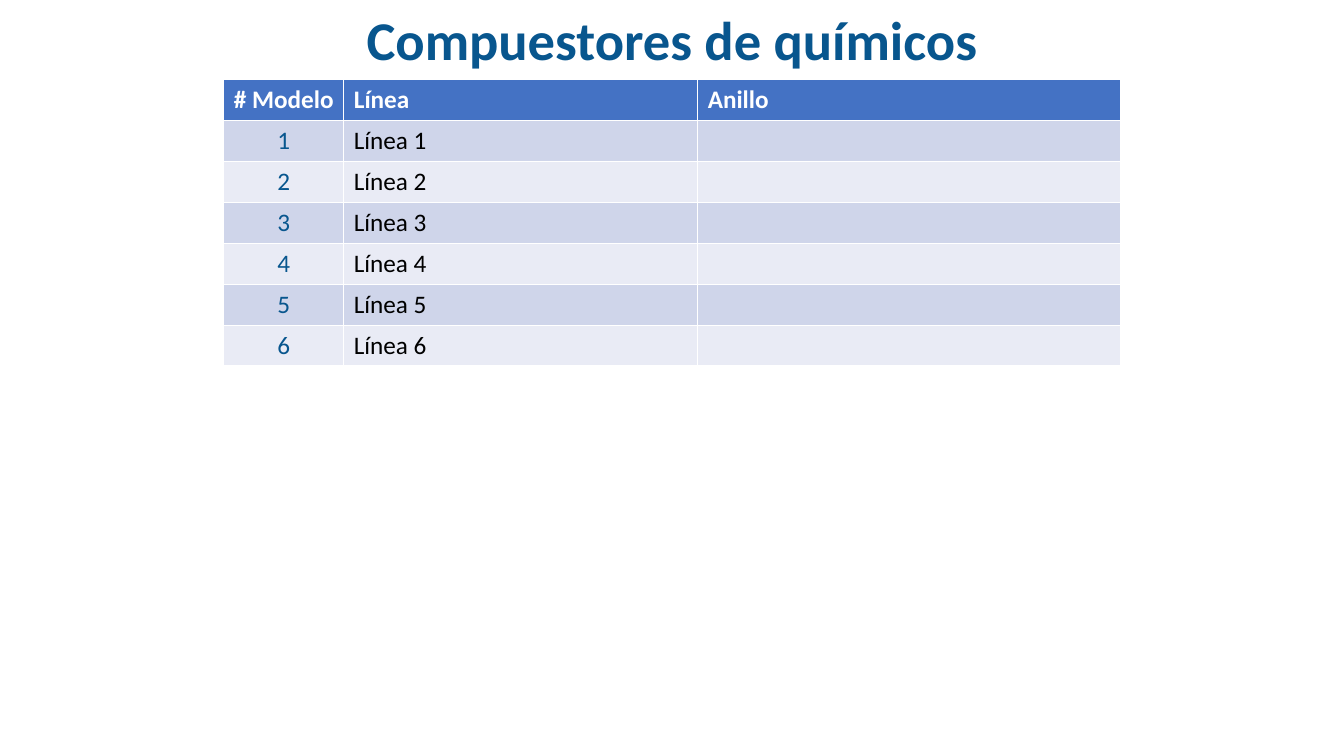
"""Build a slide with a titled table of chemical composer models."""
from pptx import Presentation
from pptx.dml.color import RGBColor
from pptx.enum.text import MSO_ANCHOR, PP_ALIGN
from pptx.util import Inches, Pt

TITLE = "Compuestores de químicos"
HEADERS = ("# Modelo", "Línea", "Anillo")
MODELS = [(str(number), f"Línea {number}", "") for number in range(1, 7)]

SLIDE_WIDTH, SLIDE_HEIGHT = 13.33, 7.5
TITLE_WIDTH, TITLE_HEIGHT = 6.32, 0.76
TABLE_TOP, ROW_HEIGHT = 0.79, 0.406
COLUMN_WIDTHS = (1.19, 3.51, 4.19)

FONT = "Calibri"
NAVY = RGBColor(0x08, 0x56, 0x8E)
HEADER_BLUE = RGBColor(0x44, 0x72, 0xC4)
BANDS = (RGBColor(0xE9, 0xEB, 0xF5), RGBColor(0xCF, 0xD5, 0xEA))
WHITE = RGBColor(0xFF, 0xFF, 0xFF)
BLACK = RGBColor(0, 0, 0)
LEFT, CENTER = PP_ALIGN.LEFT, PP_ALIGN.CENTER
MIDDLE = MSO_ANCHOR.MIDDLE


def write(frame, text, size=18, color=BLACK, bold=False, align=LEFT):
    """Write one formatted paragraph into a text frame."""
    para = frame.paragraphs[0]
    para.alignment = align
    para.font.size = Pt(size)
    if not text:
        return
    span = para.add_run()
    span.text = text
    span.font.name = FONT
    span.font.size = Pt(size)
    span.font.bold = bold
    span.font.color.rgb = color


def add_title(page):
    """Place the centred heading at the top of the page."""
    box = page.shapes.title
    box.left, box.top = Inches((SLIDE_WIDTH - TITLE_WIDTH) / 2), 0
    box.width, box.height = Inches(TITLE_WIDTH), Inches(TITLE_HEIGHT)
    box.text_frame.word_wrap = False
    box.text_frame.vertical_anchor = MIDDLE
    write(box.text_frame, TITLE, size=39, color=NAVY, bold=True, align=CENTER)


def add_model_table(page):
    """Add the table with its header and banded rows."""
    rows = [HEADERS, *MODELS]
    width = sum(COLUMN_WIDTHS)
    table = page.shapes.add_table(
        len(rows), len(HEADERS),
        Inches((SLIDE_WIDTH - width) / 2), Inches(TABLE_TOP),
        Inches(width), Inches(ROW_HEIGHT * len(rows))).table
    for column, column_width in zip(table.columns, COLUMN_WIDTHS):
        column.width = Inches(column_width)
    for row_index, texts in enumerate(rows):
        table.rows[row_index].height = Inches(ROW_HEIGHT)
        for column_index, text in enumerate(texts):
            cell = table.cell(row_index, column_index)
            cell.fill.solid()
            if row_index == 0:
                cell.fill.fore_color.rgb = HEADER_BLUE
                write(cell.text_frame, text, color=WHITE, bold=True)
            else:
                cell.fill.fore_color.rgb = BANDS[row_index % 2]
                first = column_index == 0
                write(cell.text_frame, text, color=NAVY if first else BLACK,
                      align=CENTER if first else LEFT)


def main():
    """Create and save the deck."""
    deck = Presentation()
    deck.slide_width, deck.slide_height = Inches(SLIDE_WIDTH), Inches(SLIDE_HEIGHT)
    page = deck.slides.add_slide(deck.slide_layouts.get_by_name("Title Only"))
    add_title(page)
    add_model_table(page)
    deck.save("out.pptx")


if __name__ == "__main__":
    main()
